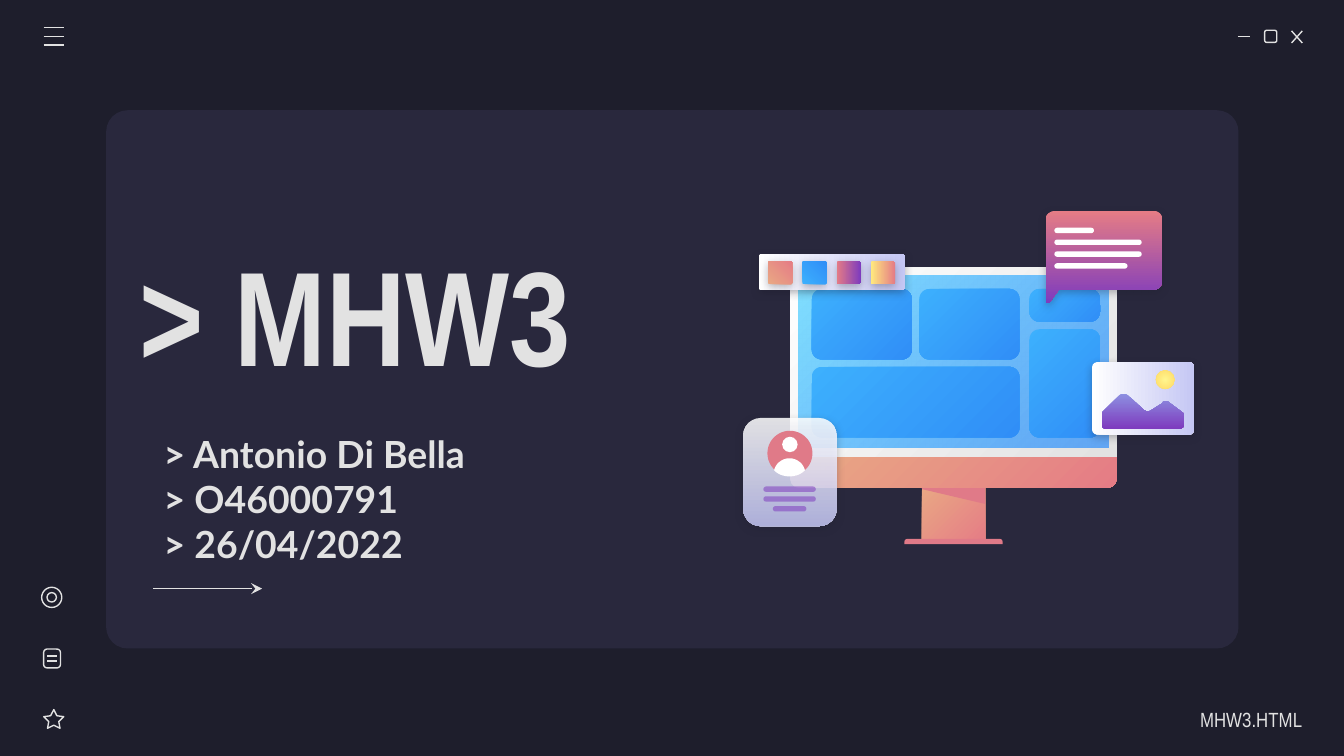
import dataclasses

import lxml.etree
import pptx
import pptx.dml.color
import pptx.enum.dml
import pptx.enum.shapes
import pptx.enum.text
import pptx.oxml.ns
import pptx.util

SHAPE = pptx.enum.shapes.MSO_SHAPE
ALIGN = pptx.enum.text.PP_ALIGN
qn = pptx.oxml.ns.qn
CELL = pptx.util.Inches(0.1)
COLUMNS, ROWS = 100, 56.25
CURVE_STEPS = 8


@dataclasses.dataclass(frozen=True)
class Paint:
    colours: tuple
    angle: int = 0
    opacity: tuple = (100, 100)
    radial: bool = False


@dataclasses.dataclass(frozen=True)
class Theme:
    night: Paint = Paint(("1E1E2C",))
    panel: Paint = Paint(("29283D",))
    white: Paint = Paint(("FFFFFF",))
    rose: Paint = Paint(("E07A88",))
    violet: Paint = Paint(("7E3BBE",), 0, (54,))
    coral: Paint = Paint(("E9A984", "E57C85"), 45)
    bezel: Paint = Paint(("FFFFFF", "E2E2E2"), 45)
    screen: Paint = Paint(("80DFFF", "318FFA"), 45, (100, 72))
    tile: Paint = Paint(("3DB0FD", "308EF7"), 45)
    bubble: Paint = Paint(("E57C85", "7E3BBE"), 90)
    glass: Paint = Paint(("FFFFFF", "C5C7F4"), 90, (86, 86))
    paper: Paint = Paint(("FFFFFF", "C5C7F4"))
    hills: Paint = Paint(("8D90E1", "7E3BBE"), 90)
    sun: Paint = Paint(("FFF68E", "FFD966"), radial=True)
    swatches: tuple = (
        Paint(("E9A984", "E57C85"), 315),
        Paint(("3DB0FD", "308EF7"), 315),
        Paint(("E57C85", "7E3BBE")),
        Paint(("FFEA7D", "E57C85")),
    )
    ink: str = "E2E2E2"
    stroke: float = 0.75
    title: tuple = ("Arial Narrow", 72, True)
    details: tuple = ("Lato", 20, True)
    footer: tuple = ("Arial Narrow", 11, False)


THEME = Theme()


def rgb(value):
    return pptx.dml.color.RGBColor.from_string(value)


def grid(*cells):
    return [round(cell * CELL) for cell in cells]


def apply_format(target, values):
    for name, value in values.items():
        setattr(target, name, value)


def apply_stroke(line):
    line.color.rgb = rgb(THEME.ink)
    line.width = pptx.util.Pt(THEME.stroke)


def apply_paint(shape, paint):
    if paint is None:
        shape.fill.background()
        apply_stroke(shape.line)
        return
    if len(paint.colours) == 1:
        shape.fill.solid()
        shape.fill.fore_color.rgb = rgb(paint.colours[0])
    else:
        shape.fill.gradient()
        shape.fill.gradient_angle = -paint.angle % 360
        for stop, colour, position in zip(shape.fill.gradient_stops, paint.colours, (0, 1)):
            apply_format(stop, {"position": position})
            stop.color.rgb = rgb(colour)
    properties = shape._element.spPr
    for colour, percent in zip(properties.iter(qn("a:srgbClr")), paint.opacity):
        if percent < 100:
            lxml.etree.SubElement(colour, qn("a:alpha"), val=str(percent * 1000))
    if paint.radial:
        gradient = properties.find(qn("a:gradFill"))
        gradient.remove(gradient.find(qn("a:lin")))
        centre = lxml.etree.SubElement(gradient, qn("a:path"), {"path": "circle"})
        lxml.etree.SubElement(centre, qn("a:fillToRect"), dict.fromkeys("ltrb", "50000"))
    shape.line.fill.background()


def apply_shadow(shape, visible):
    shape.shadow.inherit = False
    if visible:
        effects = shape._element.spPr.find(qn("a:effectLst"))
        shadow = lxml.etree.SubElement(effects, qn("a:outerShdw"), blurRad="57150", dist="19050",
                                       dir="5400000", algn="bl", rotWithShape="0")
        colour = lxml.etree.SubElement(shadow, qn("a:srgbClr"), val=THEME.night.colours[0])
        lxml.etree.SubElement(colour, qn("a:alpha"), val="30000")


def add_block(shapes, kind, frame, paint=None, adjustments=(), shadow=False):
    block = shapes.add_shape(kind, *grid(*frame))
    for index, value in enumerate(adjustments):
        block.adjustments[index] = value
    apply_paint(block, paint)
    apply_shadow(block, shadow)


def add_rounded(shapes, frame, paint=None, radius=0.25, shadow=False):
    add_block(shapes, SHAPE.ROUNDED_RECTANGLE, frame, paint, [radius / min(frame[2:])], shadow)


def add_outline(shapes, start, segments, paint, shadow=False):
    points = [start]
    for segment in segments:
        if len(segment) == 2:
            points.append(segment)
            continue
        curve = (points[-1], segment[:2], segment[2:4], segment[4:])
        for step in range(1, CURVE_STEPS + 1):
            t = step / CURVE_STEPS
            weights = ((1 - t) ** 3, 3 * t * (1 - t) ** 2, 3 * t * t * (1 - t), t ** 3)
            points.append([sum(w * p[axis] for w, p in zip(weights, curve)) for axis in (0, 1)])
    builder = shapes.build_freeform(*grid(*points[0]))
    builder.add_line_segments([grid(*point) for point in points[1:]], close=True)
    outline = builder.convert_to_shape()
    apply_paint(outline, paint)
    apply_shadow(outline, shadow)


def add_stroke(shapes, start, end, arrow=False):
    stroke = shapes.add_connector(pptx.enum.shapes.MSO_CONNECTOR.STRAIGHT, *grid(*start, *end))
    apply_stroke(stroke.line)
    properties = stroke._element.spPr
    if arrow:
        lxml.etree.SubElement(properties.find(qn("a:ln")), qn("a:tailEnd"), type="stealth")
    lxml.etree.SubElement(properties, qn("a:effectLst"))


def add_text(shapes, frame, lines, style, align=ALIGN.LEFT, right=1):
    text = shapes.add_textbox(*grid(*frame)).text_frame
    apply_format(text, {"word_wrap": True, "vertical_anchor": pptx.enum.text.MSO_ANCHOR.MIDDLE,
                        "margin_left": CELL, "margin_top": CELL, "margin_bottom": CELL,
                        "margin_right": right * CELL})
    name, size, bold = style
    for index, line in enumerate(lines):
        paragraph = text.add_paragraph() if index else text.paragraphs[0]
        apply_format(paragraph, {"text": line, "alignment": align})
        apply_format(paragraph.font, {"name": name, "size": pptx.util.Pt(size), "bold": bold})
        paragraph.font.color.rgb = rgb(THEME.ink)


def draw_window_controls(shapes):
    add_stroke(shapes, (92.1, 2.7), (93, 2.7))
    add_rounded(shapes, (94.1, 2.25, 0.9, 0.9), radius=0.15)
    add_stroke(shapes, (96.1, 2.3), (96.9, 3.2))
    add_stroke(shapes, (96.9, 2.3), (96.1, 3.2))


def draw_menu(shapes):
    for row in (2.05, 2.7, 3.35):
        add_stroke(shapes, (3.25, row), (4.75, row))


def draw_side_icons(shapes):
    add_block(shapes, SHAPE.STAR_5_POINT, (3.25, 52.8, 1.5, 1.4), adjustments=[0.25])
    add_rounded(shapes, (3.25, 48.3, 1.25, 1.4))
    for row in (48.8, 49.2):
        add_stroke(shapes, (3.5, row), (4.25, row))
    for column, row, size in ((3.1, 43.7, 1.5), (3.5, 44.1, 0.7)):
        add_block(shapes, SHAPE.OVAL, (column, row, size, size))


def draw_monitor(shapes):
    add_block(shapes, SHAPE.RECTANGLE, (68.6, 36.1, 4.7, 4.3), THEME.coral)
    add_block(shapes, SHAPE.ROUND_2_SAME_RECTANGLE, (67.3, 40.1, 7.3, 0.4), THEME.rose, [0.5, 0])
    add_outline(shapes, (68.6, 36.1), [(68.6, 36.4), (73.3, 37.5), (73.3, 36.1)], THEME.rose)
    add_block(shapes, SHAPE.ROUND_2_SAME_RECTANGLE, (58.8, 33.9, 24.3, 2.4), THEME.coral, [0, 0.28])
    add_block(shapes, SHAPE.ROUND_2_SAME_RECTANGLE, (58.8, 19.9, 24.3, 14.1), THEME.bezel, [0.05, 0])
    add_block(shapes, SHAPE.RECTANGLE, (59.4, 20.5, 23.1, 12.8), THEME.screen)
    for tile in ((60.4, 21.5, 7.45, 5.25), (60.4, 27.3, 15.45, 5.25), (68.4, 21.5, 7.45, 5.25),
                 (76.6, 21.5, 5.25, 2.45), (76.6, 24.5, 5.25, 8.05)):
        add_rounded(shapes, tile, THEME.tile, 0.75)


def draw_bubble(shapes):
    add_outline(shapes, (78.5, 15.7), [
        (78.1, 15.7, 77.8, 16, 77.8, 16.4), (77.8, 22.4),
        (77.8, 22.5, 77.9, 22.55, 78, 22.55), (78, 22.55, 78.1, 22.5, 78.1, 22.5),
        (78.8, 21.55), (85.9, 21.55), (86.2, 21.55, 86.5, 21.2, 86.5, 20.9),
        (86.5, 16.4), (86.5, 16, 86.2, 15.7, 85.9, 15.7)], THEME.bubble, True)
    for row, width in enumerate((2.95, 6.5, 6.5, 5.45)):
        add_rounded(shapes, (78.45, 16.95 + 0.88 * row, width, 0.4), THEME.white, 0.2)


def draw_profile(shapes):
    add_rounded(shapes, (55.3, 31.1, 6.95, 8.05), THEME.glass, 1.3, True)
    add_block(shapes, SHAPE.OVAL, (57.1, 32.05, 3.35, 3.35), THEME.rose)
    add_block(shapes, SHAPE.OVAL, (58.2, 32.5, 1.15, 1.15), THEME.white)
    add_outline(shapes, (58.75, 34.1), [
        (58.2, 34.1, 57.7, 34.5, 57.6, 35), (57.9, 35.3, 58.3, 35.45, 58.75, 35.45),
        (59.2, 35.45, 59.6, 35.3, 59.9, 35), (59.8, 34.5, 59.3, 34.1, 58.75, 34.1)], THEME.white)
    for row, width in enumerate((3.9, 3.9, 2.5)):
        add_rounded(shapes, (58.75 - width / 2, 36.2 + 0.73 * row, width, 0.4), THEME.violet, 0.2)


def draw_photo(shapes):
    add_rounded(shapes, (81.25, 26.95, 7.6, 5.4), THEME.paper, 0.4, True)
    add_outline(shapes, (83.6, 29.3), [
        (83.5, 29.3, 83.4, 29.3, 83.3, 29.4), (82.1, 30.6), (82, 30.7, 82, 30.7, 82, 30.8),
        (82, 31.6), (82, 31.8, 82.1, 31.9, 82.3, 31.9), (87.8, 31.9),
        (87.9, 31.9, 88.1, 31.8, 88.1, 31.6), (88.1, 30.9), (88.1, 30.8, 88, 30.7, 88, 30.7),
        (87, 29.95), (86.9, 29.85, 86.8, 29.85, 86.7, 29.85),
        (86.6, 29.85, 86.5, 29.9, 86.5, 30), (85.7, 30.5), (85.6, 30.6, 85.5, 30.6, 85.4, 30.6),
        (85.3, 30.6, 85.2, 30.6, 85.1, 30.5), (83.9, 29.4), (83.8, 29.3, 83.7, 29.3, 83.6, 29.3),
    ], THEME.hills)
    add_block(shapes, SHAPE.OVAL, (86, 27.55, 1.4, 1.4), THEME.sun)


def draw_palette(shapes):
    add_rounded(shapes, (56.45, 18.9, 10.9, 2.7), THEME.paper, 0.2, True)
    for column, paint in enumerate(THEME.swatches):
        add_rounded(shapes, (57.15 + 2.55 * column, 19.45, 1.8, 1.7), paint, 0.12, True)


def main():
    deck = pptx.Presentation()
    apply_format(deck, {"slide_width": round(COLUMNS * CELL), "slide_height": round(ROWS * CELL)})
    slide = deck.slides.add_slide(deck.slide_layouts[6])
    slide.background.fill.solid()
    slide.background.fill.fore_color.rgb = rgb(THEME.night.colours[0])
    shapes = slide.shapes
    add_rounded(shapes, (7.9, 8.2, 84.25, 40.05), THEME.panel, 1.6)
    add_text(shapes, (9.4, 14.5, 44.7, 17.6), ["> MHW3"], THEME.title)
    add_text(shapes, (11.2, 34.8, 32.4, 4.6),
             ["> Antonio Di Bella", "> O46000791", "> 26/04/2022"], THEME.details)
    for draw in (draw_window_controls, draw_monitor, draw_bubble, draw_menu, draw_profile,
                 draw_photo, draw_palette, draw_side_icons):
        draw(shapes.add_group_shape().shapes)
    add_stroke(shapes, (11.4, 43.8), (19.5, 43.8), arrow=True)
    add_text(shapes, (85.2, 52, 11.7, 3), ["MHW3.HTML"], THEME.footer, ALIGN.RIGHT, right=0)
    deck.save("out.pptx")


if __name__ == "__main__":
    main()
